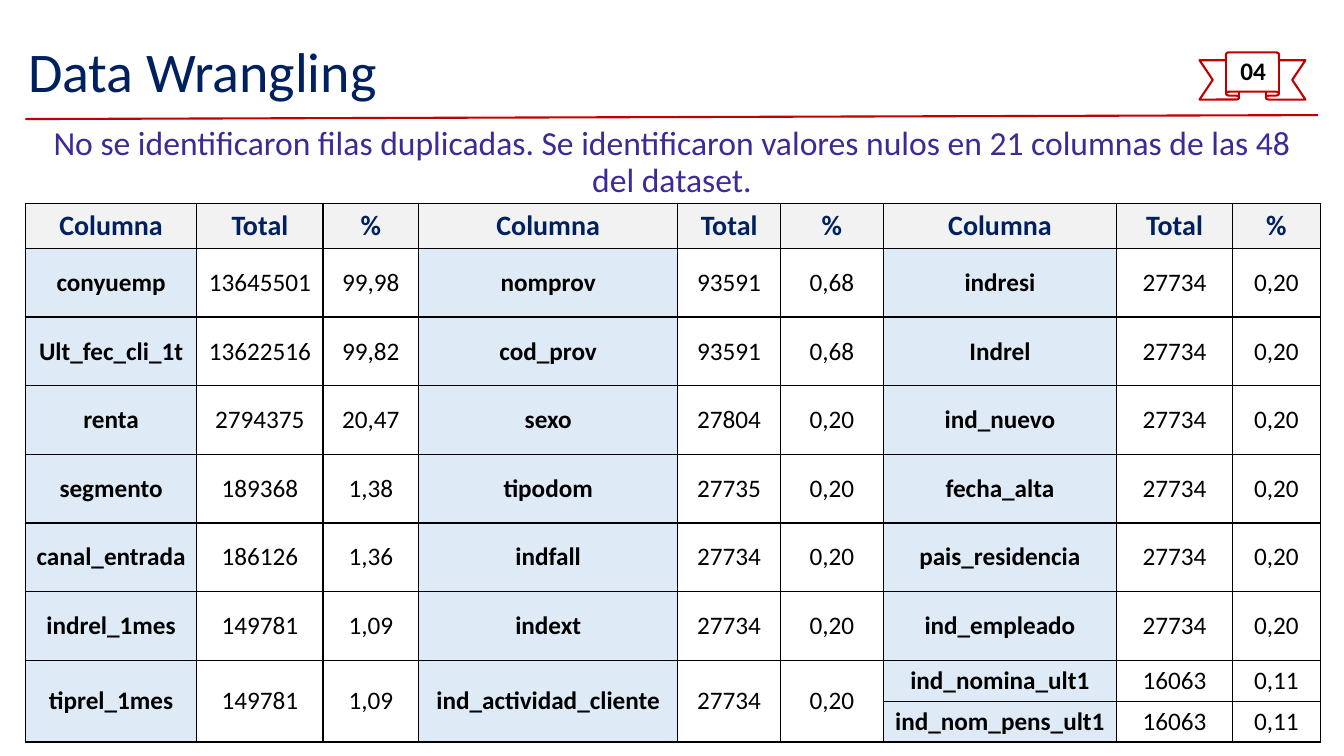
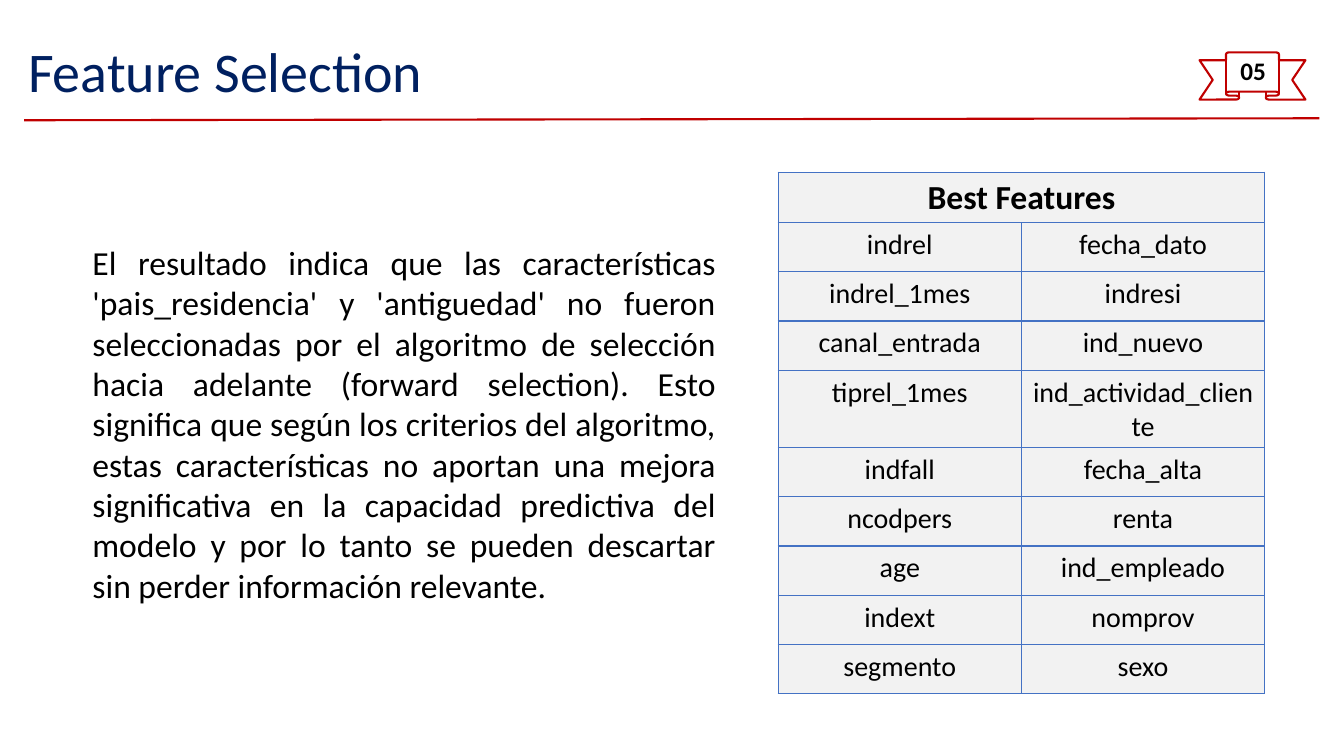
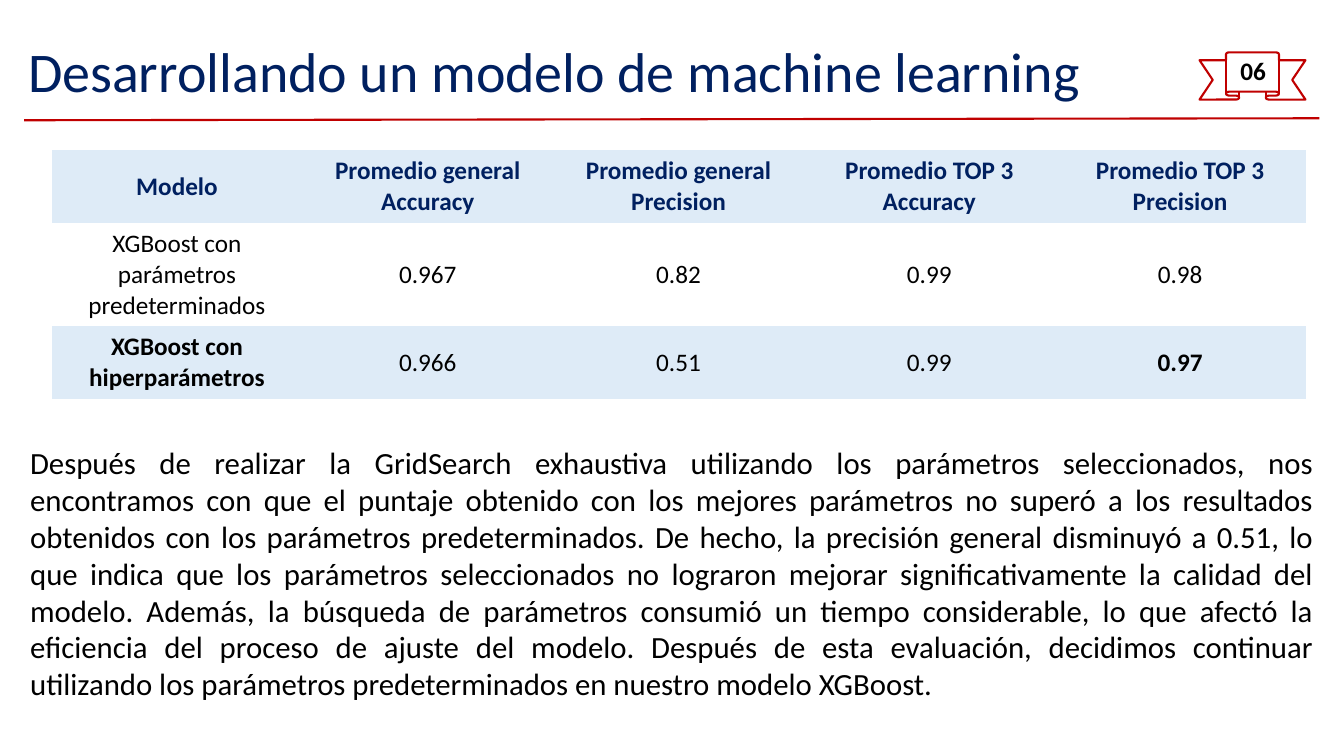
from lxml import etree
from pptx import Presentation
from pptx import util as u
from pptx.dml.color import RGBColor
from pptx.enum import shapes, text
from pptx.oxml import ns

FONT = "Calibri"
NAVY = RGBColor(0x00, 0x20, 0x60)
PURPLE = RGBColor(0x3E, 0x29, 0x97)
RED = RGBColor(0xC0, 0x00, 0x00)
BLACK = RGBColor(0x00, 0x00, 0x00)
WHITE = RGBColor(0xFF, 0xFF, 0xFF)
GRAY = RGBColor(0xF2, 0xF2, 0xF2)
PALE_BLUE = RGBColor(0xDE, 0xEB, 0xF7)
BLUE = RGBColor(0x44, 0x72, 0xC4)

LEFT, CENTER, JUSTIFY = text.PP_ALIGN.LEFT, text.PP_ALIGN.CENTER, text.PP_ALIGN.JUSTIFY
TOP, MIDDLE = text.MSO_ANCHOR.TOP, text.MSO_ANCHOR.MIDDLE
NO_STYLE = "{2D5ABB26-0587-4C30-8999-92F81FD0307C}"


def add_text(slide, box, content, size, color, bold=False, alignment=LEFT, anchor=TOP, spacing=1.0):
    frame = slide.shapes.add_textbox(*map(u.Cm, box)).text_frame
    frame.word_wrap = True
    frame.vertical_anchor = anchor
    paragraph = frame.paragraphs[0]
    paragraph.alignment = alignment
    paragraph.line_spacing = spacing
    run = paragraph.add_run()
    run.text = content
    run.font.name, run.font.size, run.font.bold = FONT, u.Pt(size), bold
    run.font.color.rgb = color


def add_grid(slide, left, top, widths, heights, rows, anchor=MIDDLE, border=None):
    frame = slide.shapes.add_table(
        len(heights), len(widths), u.Cm(left), u.Cm(top), u.Cm(sum(widths)), u.Cm(sum(heights)))
    table = frame.table
    table.first_row = table.horz_banding = False
    table._tbl.tblPr.find(ns.qn("a:tableStyleId")).text = NO_STYLE
    for column, width in zip(table.columns, widths):
        column.width = u.Cm(width)
    for row, height, values in zip(table.rows, heights, rows):
        row.height = u.Cm(height)
        for cell, (content, size, color, bold, fill) in zip(row.cells, values):
            cell.vertical_anchor = anchor
            if border is not None:
                for side in ("a:lnL", "a:lnR", "a:lnT", "a:lnB"):
                    line = etree.SubElement(cell._tc.get_or_add_tcPr(), ns.qn(side), w=str(u.Pt(1)))
                    solid = etree.SubElement(line, ns.qn("a:solidFill"))
                    etree.SubElement(solid, ns.qn("a:srgbClr"), val=str(border))
            cell.fill.solid()
            cell.fill.fore_color.rgb = fill
            paragraph = cell.text_frame.paragraphs[0]
            paragraph.alignment = CENTER
            if content:
                run = paragraph.add_run()
                run.text = content
                run.font.name, run.font.size, run.font.bold = FONT, u.Pt(size), bold
                run.font.color.rgb = color
    return table


presentation = Presentation()
presentation.slide_width = u.Cm(33.87)
presentation.slide_height = u.Cm(19.05)

headings = [
    ("Data Wrangling", "04", (0.64, 3.0, 33.22, 2.9)),
    ("Feature Selection", "05", (0.61, 3.03, 33.25, 2.98)),
    ("Desarrollando un modelo de machine learning", "06", (0.61, 3.03, 33.25, 2.98)),
]
slides = []
for title, number, rule_ends in headings:
    slide = presentation.slides.add_slide(presentation.slide_layouts[6])
    slides.append(slide)
    add_text(slide, (0.46, 0.03, 29.21, 3.68), title, 40, NAVY, anchor=MIDDLE, spacing=0.9)
    rule = slide.shapes.add_connector(shapes.MSO_CONNECTOR.STRAIGHT, *map(u.Cm, rule_ends))
    rule.line.color.rgb = RED
    rule.line.width = u.Pt(1.5)
    etree.SubElement(rule._element.spPr, ns.qn("a:effectLst"))
    ribbon = slide.shapes.add_shape(
        shapes.MSO_SHAPE.UP_RIBBON, u.Cm(30.23), u.Cm(1.32), u.Cm(2.67), u.Cm(1.19))
    ribbon.shadow.inherit = False
    ribbon.fill.background()
    ribbon.line.color.rgb = RED
    ribbon.line.width = u.Pt(1.5)
    add_text(slide, (31.01, 1.27, 1.22, 1.02), number, 18, BLACK, bold=True)

wrangling, selection, model = slides

add_text(wrangling, (0.64, 3.07, 32.59, 2.41),
         "No se identificaron filas duplicadas. Se identificaron valores nulos en 21 columnas "
         "de las 48 del dataset.", 24, PURPLE, alignment=CENTER, spacing=0.9)
null_counts = [
    ("conyuemp", "13645501", "99,98", "nomprov", "93591", "0,68", "indresi", "27734", "0,20"),
    ("Ult_fec_cli_1t", "13622516", "99,82", "cod_prov", "93591", "0,68", "Indrel", "27734", "0,20"),
    ("renta", "2794375", "20,47", "sexo", "27804", "0,20", "ind_nuevo", "27734", "0,20"),
    ("segmento", "189368", "1,38", "tipodom", "27735", "0,20", "fecha_alta", "27734", "0,20"),
    ("canal_entrada", "186126", "1,36", "indfall", "27734", "0,20", "pais_residencia", "27734", "0,20"),
    ("indrel_1mes", "149781", "1,09", "indext", "27734", "0,20", "ind_empleado", "27734", "0,20"),
    ("tiprel_1mes", "149781", "1,09", "ind_actividad_cliente", "27734", "0,20",
     "ind_nomina_ult1", "16063", "0,11"),
    ("", "", "", "", "", "", "ind_nom_pens_ult1", "16063", "0,11"),
]
null_rows = [[(label, 20, NAVY, True, GRAY) for label in ("Columna", "Total", "%") * 3]]
for values in null_counts:
    null_rows.append([
        (value, 18, BLACK, index % 3 == 0, WHITE if index % 3 else PALE_BLUE)
        for index, value in enumerate(values)])
null_table = add_grid(
    wrangling, 0.64, 5.13, [4.32, 3.18, 2.41, 6.53, 2.59, 2.59, 5.88, 2.92, 2.21],
    [1.13] + [1.73] * 6 + [1.03] * 2, null_rows, border=BLACK)
for column in range(6):
    null_table.cell(7, column).merge(null_table.cell(8, column))

add_text(selection, (2.08, 5.97, 16.21, 9.5),
         "El resultado indica que las características 'pais_residencia' y 'antiguedad' no fueron "
         "seleccionadas por el algoritmo de selección hacia adelante (forward selection). Esto "
         "significa que según los criterios del algoritmo, estas características no aportan una "
         "mejora significativa en la capacidad predictiva del modelo y por lo tanto se pueden "
         "descartar sin perder información relevante.", 24, BLACK, alignment=JUSTIFY)
features = [
    ("indrel", "fecha_dato"),
    ("indrel_1mes", "indresi"),
    ("canal_entrada", "ind_nuevo"),
    ("tiprel_1mes", "ind_actividad_cliente"),
    ("indfall", "fecha_alta"),
    ("ncodpers", "renta"),
    ("age", "ind_empleado"),
    ("indext", "nomprov"),
    ("segmento", "sexo"),
]
feature_rows = [[(label, 24, BLACK, True, GRAY) for label in ("Best Features", "")]]
for pair in features:
    feature_rows.append([(name, 20, BLACK, False, GRAY) for name in pair])
feature_table = add_grid(
    selection, 19.61, 4.34, [6.13] * 2, [1.24] * 10, feature_rows, anchor=TOP, border=BLUE)
feature_table.cell(0, 0).merge(feature_table.cell(0, 1))

scores = [
    ("XGBoost con parámetros predeterminados", "0.967", "0.82", "0.99", "0.98"),
    ("XGBoost con hiperparámetros", "0.966", "0.51", "0.99", "0.97"),
]
score_labels = ["Modelo"] + [
    f"Promedio {scope} {metric}" for scope in ("general", "TOP 3") for metric in ("Accuracy", "Precision")]
score_rows = [[(label, 18, NAVY, True, PALE_BLUE) for label in score_labels]]
score_rows.append([(value, 18, BLACK, False, WHITE) for value in scores[0]])
score_rows.append([
    (value, 18, BLACK, index in (0, 4), PALE_BLUE) for index, value in enumerate(scores[1])])
add_grid(model, 1.3, 3.79, [6.32] * 5, [1.83, 2.6, 1.83], score_rows)
add_text(model, (0.51, 11.05, 32.84, 6.83),
         "Después de realizar la GridSearch exhaustiva utilizando los parámetros seleccionados, "
         "nos encontramos con que el puntaje obtenido con los mejores parámetros no superó a los "
         "resultados obtenidos con los parámetros predeterminados. De hecho, la precisión general "
         "disminuyó a 0.51, lo que indica que los parámetros seleccionados no lograron mejorar "
         "significativamente la calidad del modelo. Además, la búsqueda de parámetros consumió un "
         "tiempo considerable, lo que afectó la eficiencia del proceso de ajuste del modelo. "
         "Después de esta evaluación, decidimos continuar utilizando los parámetros "
         "predeterminados en nuestro modelo XGBoost.", 22, BLACK, alignment=JUSTIFY)

presentation.save("out.pptx")
